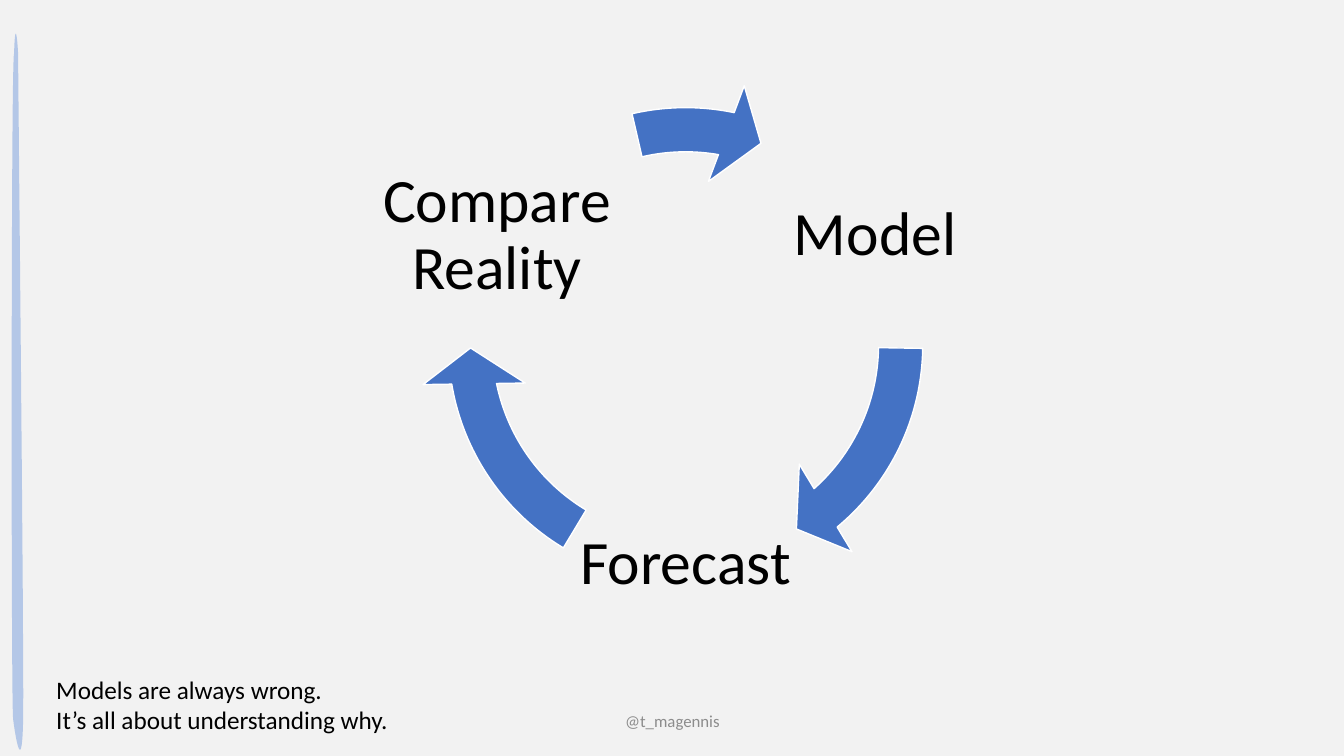
from dataclasses import dataclass

from pptx import Presentation
from pptx.dml.color import RGBColor
from pptx.enum.shapes import MSO_SHAPE
from pptx.enum.text import MSO_ANCHOR as Anchor, PP_ALIGN as Align
from pptx.util import Pt

PX = 9144  # EMU per px, 100 px to the inch
FONT = "Calibri"
COLORS = {
    "background": "F2F2F2",
    "stroke": "B4C7E7",
    "arrow": "4472C4",
    "outline": "FFFFFF",
    "text": "000000",
    "footer": "8C8C8C",
}


@dataclass(frozen=True)
class Label:
    lines: tuple[str, ...]
    box: tuple[int, int, int, int]
    size: int
    color: str = "text"
    align: Align = Align.CENTER
    anchor: Anchor = Anchor.MIDDLE
    inset: tuple[int, int] = (10, 5)
    spacing: float = 1.0
    wrap: bool = True


@dataclass(frozen=True)
class Stage:
    label: Label
    arrow_start: float  # degrees, clockwise from the right
    arrow_end: float


def stage(name: str, left: int, top: int, width: int,
          arrow_start: float, arrow_end: float) -> Stage:
    label = Label((name,), (left, top, width, 224), 44, inset=(6, 6), spacing=0.9)
    return Stage(label, arrow_start, arrow_end)


STAGES = (
    stage("Model", 756, 122, 224, 0.88, 49.37),
    stage("Forecast", 568, 448, 224, 121.02, 169.52),
    stage("Compare Reality", 354, 122, 278, 256.95, 280.92),
)
CYCLE_BOX = (416, 78, 528, 528)
ARROW_WIDTH, HEAD_ANGLE, HEAD_WIDTH = 0.083, 9.61, 0.096

FOOTER = Label(("@t_magennis",), (442, 695, 450, 40), 12, color="footer")
TAKEAWAY = Label(
    ("Models are always wrong.", "It’s all about understanding why."),
    (46, 664, 353, 71), 18, align=Align.LEFT, anchor=Anchor.TOP, wrap=False)

# Brush stroke: a start point, then cubic curves
STROKE_START = (14, 53)
STROKE_CURVES = (
    ((11, 53), (11, 689), (13, 713)),
    ((16, 736), (22, 769), (23, 713)),
    ((24, 657), (18, 72), (18, 53)),
    ((17, 35), (15, 20), (14, 53)),
)
CURVE_STEPS = 24


def rgb(name: str) -> RGBColor:
    return RGBColor.from_string(COLORS[name])


def emu(box: tuple[int, ...]) -> list[int]:
    return [length * PX for length in box]


def add_label(slide, label: Label) -> None:
    frame = slide.shapes.add_textbox(*emu(label.box)).text_frame
    frame.word_wrap = label.wrap
    frame.vertical_anchor = label.anchor
    side, end = emu(label.inset)
    frame.margin_left = frame.margin_right = side
    frame.margin_top = frame.margin_bottom = end
    paragraph = frame.paragraphs[0]
    paragraph.alignment = label.align
    paragraph.line_spacing = label.spacing
    for index, line in enumerate(label.lines):
        if index:
            paragraph.add_line_break()
        run = paragraph.add_run()
        run.text = line
        run.font.name = FONT
        run.font.size = Pt(label.size)
        run.font.color.rgb = rgb(label.color)


def add_cycle_arrow(slide, step: Stage) -> None:
    arrow = slide.shapes.add_shape(MSO_SHAPE.CIRCULAR_ARROW, *emu(CYCLE_BOX))
    arrow.shadow.inherit = False
    # Angles are stored in 60000ths of a degree, adjustments in 100000ths
    angles = [angle * 0.6 for angle in (HEAD_ANGLE, step.arrow_end, step.arrow_start)]
    for index, value in enumerate((ARROW_WIDTH, *angles, HEAD_WIDTH)):
        arrow.adjustments[index] = value
    arrow.fill.solid()
    arrow.fill.fore_color.rgb = rgb("arrow")
    arrow.line.color.rgb = rgb("outline")
    arrow.line.width = Pt(1)


def stroke_points() -> list[tuple[float, float]]:
    points, start = [], STROKE_START
    for first, second, end in STROKE_CURVES:
        for step in range(1, CURVE_STEPS + 1):
            t = step / CURVE_STEPS
            u = 1 - t
            points.append(tuple(
                PX * (u**3 * a + 3 * u * u * t * b + 3 * u * t * t * c + t**3 * d)
                for a, b, c, d in zip(start, first, second, end)))
        start = end
    return points


def add_brush_stroke(slide) -> None:
    builder = slide.shapes.build_freeform(*emu(STROKE_START), scale=1.0)
    builder.add_line_segments(stroke_points(), close=True)
    stroke = builder.convert_to_shape()
    stroke.shadow.inherit = False
    stroke.fill.solid()
    stroke.fill.fore_color.rgb = rgb("stroke")
    stroke.line.fill.background()


def main() -> None:
    deck = Presentation()
    deck.slide_width, deck.slide_height = emu((1333, 750))
    slide = deck.slides.add_slide(deck.slide_layouts[6])
    slide.background.fill.solid()
    slide.background.fill.fore_color.rgb = rgb("background")

    # Side decoration and footer
    add_brush_stroke(slide)
    add_label(slide, FOOTER)

    # Cycle of stages, each followed by its arrow
    for step in STAGES:
        add_label(slide, step.label)
        add_cycle_arrow(slide, step)

    # Takeaway in the lower left corner
    add_label(slide, TAKEAWAY)
    deck.save("out.pptx")


if __name__ == "__main__":
    main()
